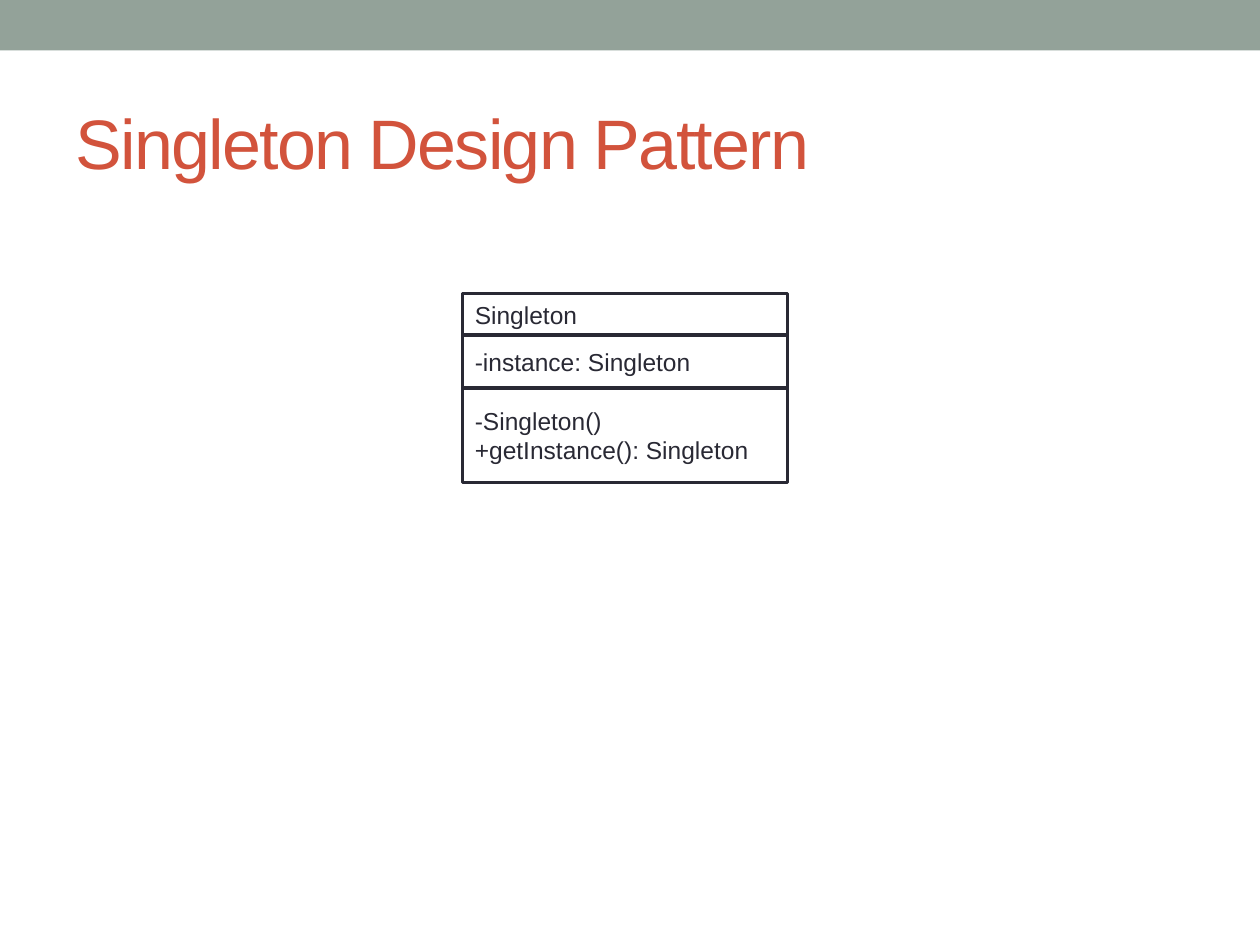
from pptx import Presentation
from pptx import util as u
from pptx.dml import color
from pptx.enum import shapes, text

COLORS = {
    "band": "93A299",
    "title": "D2533C",
    "ink": "292934",
    "paper": "FFFFFF",
}


def rgb(name):
    return color.RGBColor.from_string(COLORS[name])


def write_lines(shape, lines, size, color_name):
    """Fill a shape with left-aligned, vertically centred paragraphs."""
    frame = shape.text_frame
    frame.word_wrap = True
    frame.vertical_anchor = text.MSO_ANCHOR.MIDDLE
    frame.text = "\n".join(lines)
    for paragraph in frame.paragraphs:
        paragraph.alignment = text.PP_ALIGN.LEFT
        paragraph.font.name = "Arial"
        paragraph.font.size = u.Pt(size)
        paragraph.font.color.rgb = rgb(color_name)


presentation = Presentation()
presentation.slide_width = u.Inches(10)
presentation.slide_height = u.Inches(7.5)
slide = presentation.slides.add_slide(presentation.slide_layouts[6])

# Top band
band = slide.shapes.add_shape(
    shapes.MSO_SHAPE.RECTANGLE, 0, 0, presentation.slide_width, u.Inches(0.4)
)
band.shadow.inherit = False
band.fill.solid()
band.fill.fore_color.rgb = rgb("band")
band.line.fill.background()

# Title, with letters set one point tighter
title = slide.shapes.add_textbox(
    u.Inches(0.5), u.Inches(0.58), u.Inches(9), u.Inches(1.08)
)
write_lines(title, ["Singleton Design Pattern"], 40, "title")
title_run = title.text_frame.paragraphs[0].runs[0]
title_run.font._element.set("spc", "-100")

# Class diagram: name, attributes and operations stacked without gaps
compartments = [
    (0.33, ["Singleton"]),
    (0.42, ["-instance: Singleton"]),
    (0.75, ["-Singleton()", "+getInstance(): Singleton"]),
]
top = 2.33
for height, lines in compartments:
    compartment = slide.shapes.add_shape(
        shapes.MSO_SHAPE.RECTANGLE,
        u.Inches(3.67), u.Inches(top), u.Inches(2.58), u.Inches(height),
    )
    compartment.shadow.inherit = False
    compartment.fill.solid()
    compartment.fill.fore_color.rgb = rgb("paper")
    compartment.line.color.rgb = rgb("ink")
    compartment.line.width = u.Pt(2.08)
    write_lines(compartment, lines, 14, "ink")
    top += height

presentation.save("out.pptx")
